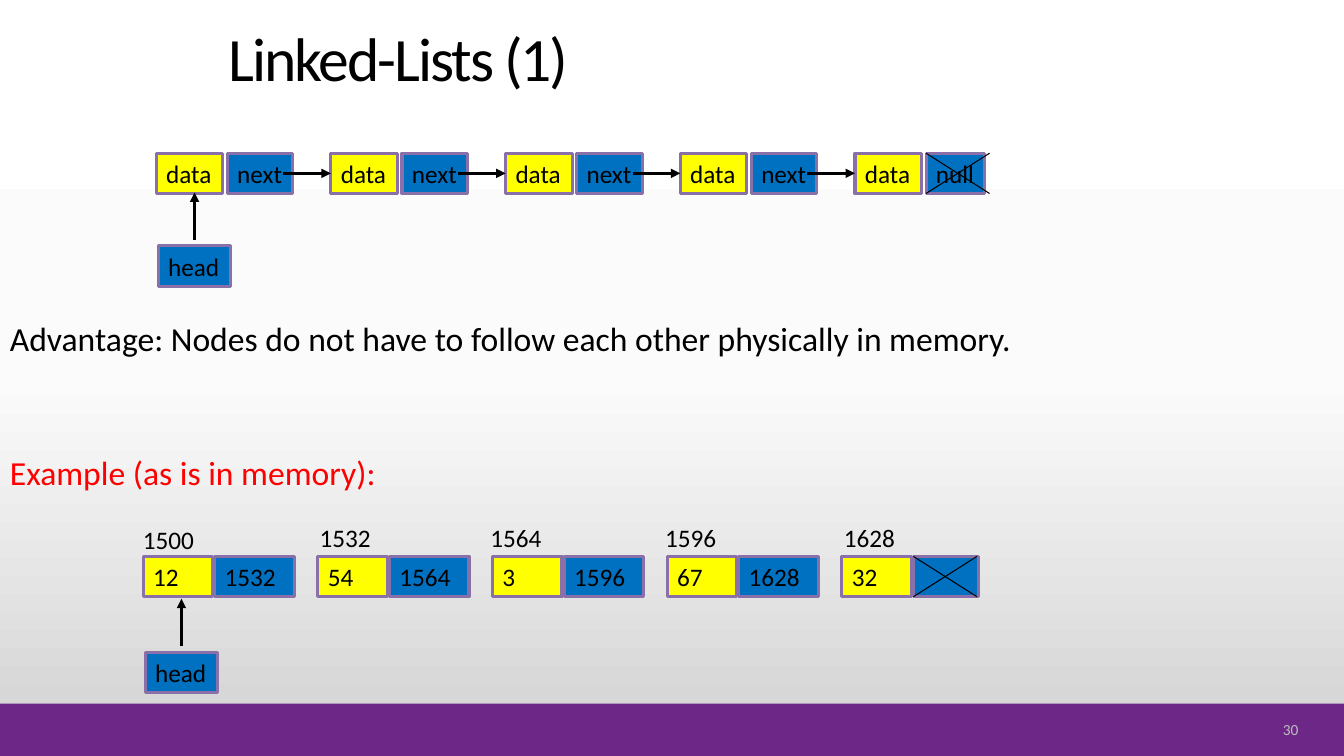
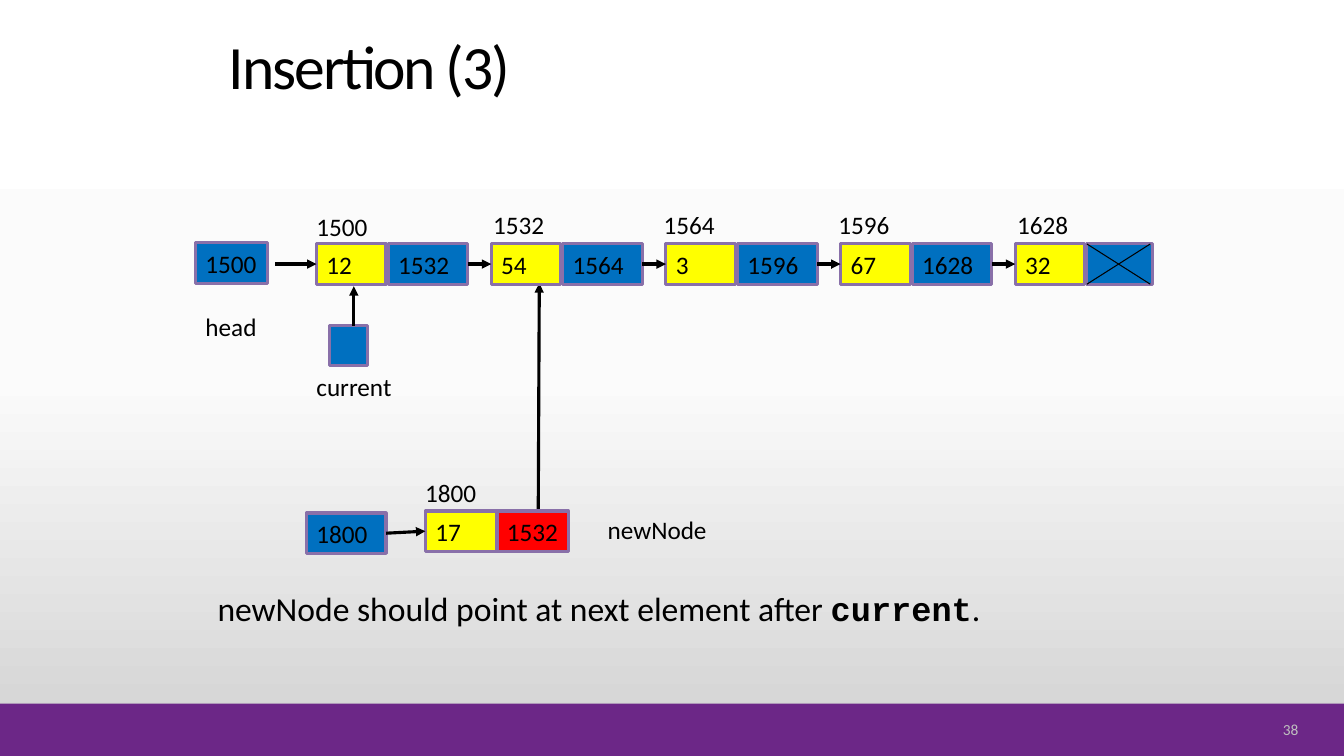
from copy import deepcopy

from lxml import etree
from pptx import Presentation, util as u
from pptx.dml.color import RGBColor
from pptx.enum import shapes, text
from pptx.oxml import ns

BLACK = RGBColor(0, 0, 0)
RED = RGBColor(0xFF, 0, 0)
YELLOW = RGBColor(0xFF, 0xFF, 0)
BLUE = RGBColor(0, 0x70, 0xC0)
MAUVE = RGBColor(0x89, 0x70, 0xA9)
PURPLE = RGBColor(0x6C, 0x27, 0x87)
SILVER = RGBColor(0xBF, 0xBF, 0xBF)
SHADES = [
    (0, RGBColor(0xFF, 0xFF, 0xFF)),
    (0.5, RGBColor(0xFB, 0xFB, 0xFB)),
    (1, RGBColor(0xD1, 0xD1, 0xD1)),
]

COLS, ROWS = 133.33, 75  # grid steps across and down the slide
STEP = u.Inches(0.1)
PITCH = 17.33  # from one list node to the next
TALL = 4  # height of a node

MEMORY = [("12", "1532"), ("54", "1564"), ("3", "1596"), ("67", "1628"), ("32", "")]
PLACES = ["1500", "1532", "1564", "1596", "1628"]
SHIFTS = [(-1, -3.7), (-0.8, -3.9), (-1.2, -3.9), (-1.2, -3.9), (-0.8, -3.9)]


def grid(*steps):
    return [u.Emu(round(step * STEP)) for step in steps]


class Deck:
    """Holds the style and the current slide; lengths are in grid steps."""

    font = "Calibri"
    mono = "Courier New"

    def __init__(self):
        self.show = Presentation()
        self.show.slide_width, self.show.slide_height = grid(COLS, ROWS)
        self.slide = None
        master = self.show.slide_master
        fill = master.background.fill
        fill.gradient()
        fill.gradient_angle = 270
        stops = master.element.find(".//" + ns.qn("a:gsLst"))
        stops.append(deepcopy(stops[-1]))
        for stop, (share, color) in zip(fill.gradient_stops, SHADES):
            stop.position = share
            stop.color.rgb = color

    def style(self, run, size=18, color=BLACK, font=None, bold=False):
        run.font.size = u.Pt(size)
        run.font.name = font or self.font
        run.font.color.rgb = color
        run.font.bold = bold

    def start(self, title, number, height):
        """Begin a slide with its band, title and number."""
        self.slide = self.show.slides.add_slide(self.show.slide_layouts[5])
        self.rect(0, 69.8, COLS, 5.2, PURPLE)
        head = self.slide.shapes.title
        head.left, head.top, head.width, head.height = grid(21.7, 1.3, 82.5, height)
        frame = head.text_frame
        frame.text = title
        frame.auto_size = text.MSO_AUTO_SIZE.NONE
        frame.vertical_anchor = text.MSO_ANCHOR.BOTTOM
        para = frame.paragraphs[0]
        para.alignment = text.PP_ALIGN.LEFT
        para.line_spacing = 0.9
        self.style(para.runs[0], 44)
        for props in head.element.iter(ns.qn("a:rPr")):
            props.set("spc", "-150")
        box = self.label(122.3, 71.2, 7.5, number, 11, SILVER, 2.3)
        box.text_frame.auto_size = text.MSO_AUTO_SIZE.NONE
        box.text_frame.word_wrap = True
        box.text_frame.vertical_anchor = text.MSO_ANCHOR.MIDDLE
        box.text_frame.paragraphs[0].alignment = text.PP_ALIGN.RIGHT

    def fill_in(self, shape, words, size=18, color=BLACK):
        frame = shape.text_frame
        frame.text = words
        frame.word_wrap = False
        frame.auto_size = text.MSO_AUTO_SIZE.SHAPE_TO_FIT_TEXT
        frame.vertical_anchor = text.MSO_ANCHOR.TOP
        para = frame.paragraphs[0]
        para.alignment = text.PP_ALIGN.LEFT
        for run in para.runs:
            self.style(run, size, color)

    def label(self, x, y, wide, words, size=18, color=BLACK, tall=TALL):
        box = self.slide.shapes.add_textbox(*grid(x, y, wide, tall))
        self.fill_in(box, words, size, color)
        return box

    def rect(self, x, y, wide, tall, color):
        shape = self.slide.shapes.add_shape(
            shapes.MSO_SHAPE.RECTANGLE, *grid(x, y, wide, tall))
        shape.shadow.inherit = False
        shape.fill.solid()
        shape.fill.fore_color.rgb = color
        shape.line.fill.background()
        return shape

    def cell(self, x, y, wide, words="", color=BLUE):
        shape = self.rect(x, y, wide, TALL, color)
        shape.line.color.rgb = MAUVE
        shape.line.width = u.Pt(2.25)
        if words:
            self.fill_in(shape, words)
        return shape

    def line(self, start, end, width=2.25, arrow=True):
        """Join two ends: a point, or a cell (left by its right, met at its left)."""
        points = [e if isinstance(e, tuple) else (0, 0) for e in (start, end)]
        link = self.slide.shapes.add_connector(
            shapes.MSO_CONNECTOR.STRAIGHT, *grid(*points[0], *points[1]))
        if not isinstance(start, tuple):
            link.begin_connect(start, 3)
        if not isinstance(end, tuple):
            link.end_connect(end, 1)
        link.line.color.rgb = BLACK
        link.line.width = u.Pt(width)
        props = link.element.spPr
        if arrow:
            tail = etree.SubElement(props.find(ns.qn("a:ln")), ns.qn("a:tailEnd"))
            tail.set("type", "triangle")
        etree.SubElement(props, ns.qn("a:effectLst"))

    def cross(self, x, y, wide=6.3):
        for top, foot in ((y, y + TALL), (y + TALL, y)):
            self.line((x, top), (x + wide, foot), 0.75, False)

    def chain(self, x, y, nodes, sizes, gap):
        """Draw list nodes; sizes are the widths of data, link and last link."""
        pairs = []
        for i, (data, link) in enumerate(nodes):
            left = x + i * PITCH
            last = i == len(nodes) - 1
            pairs.append((
                self.cell(left, y, sizes[0], data, YELLOW),
                self.cell(left + gap, y, sizes[2] if last else sizes[1], link)))
        self.cross(left + gap, y)
        return pairs

    def memory(self, x, y):
        """Draw the example list with its addresses."""
        pairs = self.chain(x, y, MEMORY, (6.9, 7.9, 6.5), 7.1)
        for i, (place, (dx, dy)) in enumerate(zip(PLACES, SHIFTS)):
            self.label(x + i * PITCH + dx, y + dy, 7.1, place)
        return pairs

    def head(self, x, y):
        """Draw the head cell with an arrow up to the first node."""
        self.cell(x, y, 7.2, "head")
        self.line((x + 3.6, y - 0.6), (x + 3.6, y - 5.3))


def lists(deck):
    deck.start("Linked-Lists (1)", "30", 8.6)
    nodes = [("data", "next")] * 4 + [("data", "null")]
    pairs = deck.chain(15.5, 15.2, nodes, (6.6, 6.5, 5.8), 7.05)
    for i, (data, _) in enumerate(pairs[1:]):
        deck.line((28.1 + i * PITCH, 17.2), data)
    deck.head(15.7, 24.4)
    deck.label(0, 31, 103, "Advantage: Nodes do not have to follow each other "
               "physically in memory.", 24, tall=5)
    deck.label(0, 44.3, 46.1, "Example (as is in memory):", 24, RED, 5)
    deck.memory(14.2, 55.2)
    deck.head(14.4, 64.7)


def insert(deck):
    deck.start("Insertion (3)", "38", 9.4)
    deck.line((53.4, 50.5), (53.5, 28.1))

    deck.cell(19.4, 24.1, 7.1, "1500")
    deck.label(19.4, 30.4, 7.2, "head")
    pairs = deck.memory(31.4, 24.2)
    deck.line((27.3, 26.2), pairs[0][0])
    for (_, link), (data, _) in zip(pairs, pairs[1:]):
        deck.line(link, data)

    deck.cell(32.7, 32.3, 3.8)
    deck.line((35.1, 32.3), (35.1, 28.4))
    deck.label(30.4, 36.3, 9.8, "current")

    fresh = deck.cell(42.2, 50.7, 7.6, "17", YELLOW)
    deck.cell(49.3, 50.7, 7.1, "1532", RED)
    deck.label(41.2, 46.9, 7.1, "1800")
    deck.line(deck.cell(30.4, 50.9, 7.9, "1800"), fresh)
    deck.label(59.3, 50.5, 12, "newNode")

    note = deck.label(20.6, 57.8, 82.3,
                      "newNode should point at next element after ", 24, tall=5)
    note.text_frame.word_wrap = True
    para = note.text_frame.paragraphs[0]
    for words, font, bold in (("current", deck.mono, True), (".", deck.font, False)):
        run = para.add_run()
        run.text = words
        deck.style(run, 24, font=font, bold=bold)


def main():
    deck = Deck()
    lists(deck)
    insert(deck)
    deck.show.save("out.pptx")


if __name__ == "__main__":
    main()
